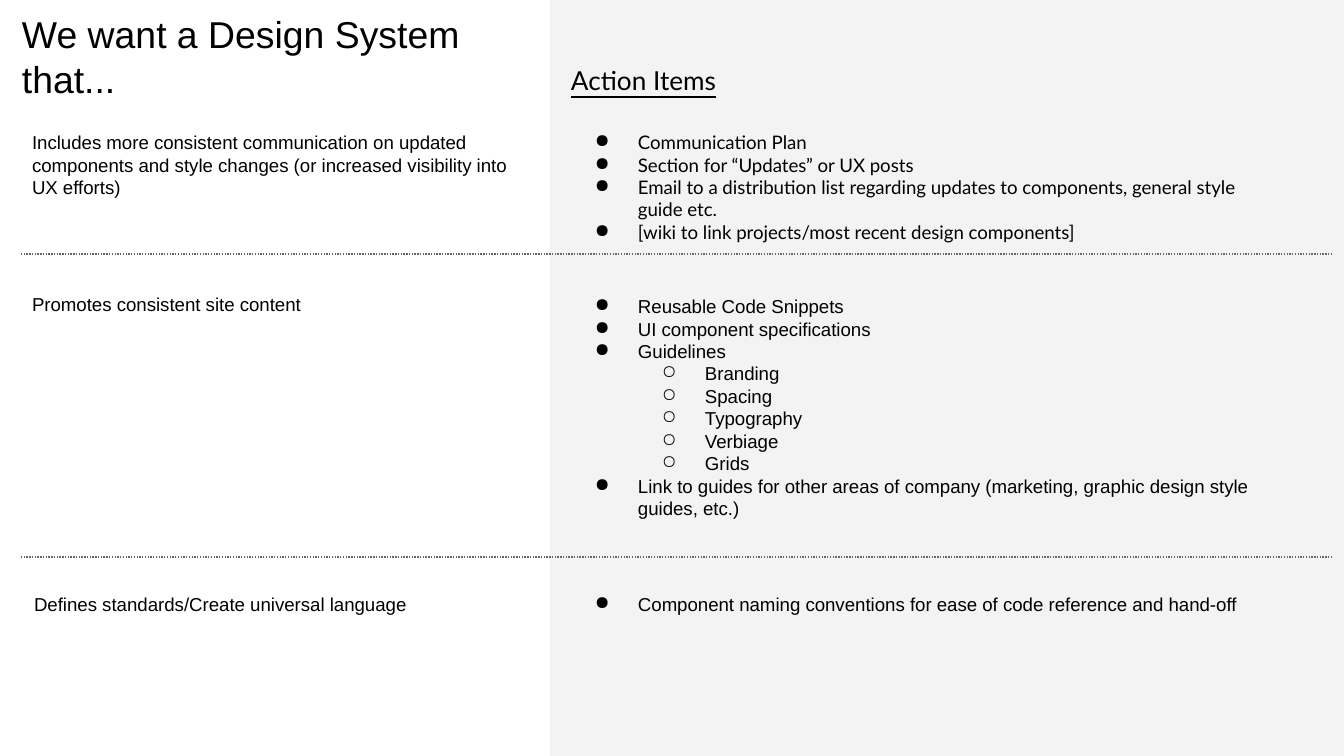
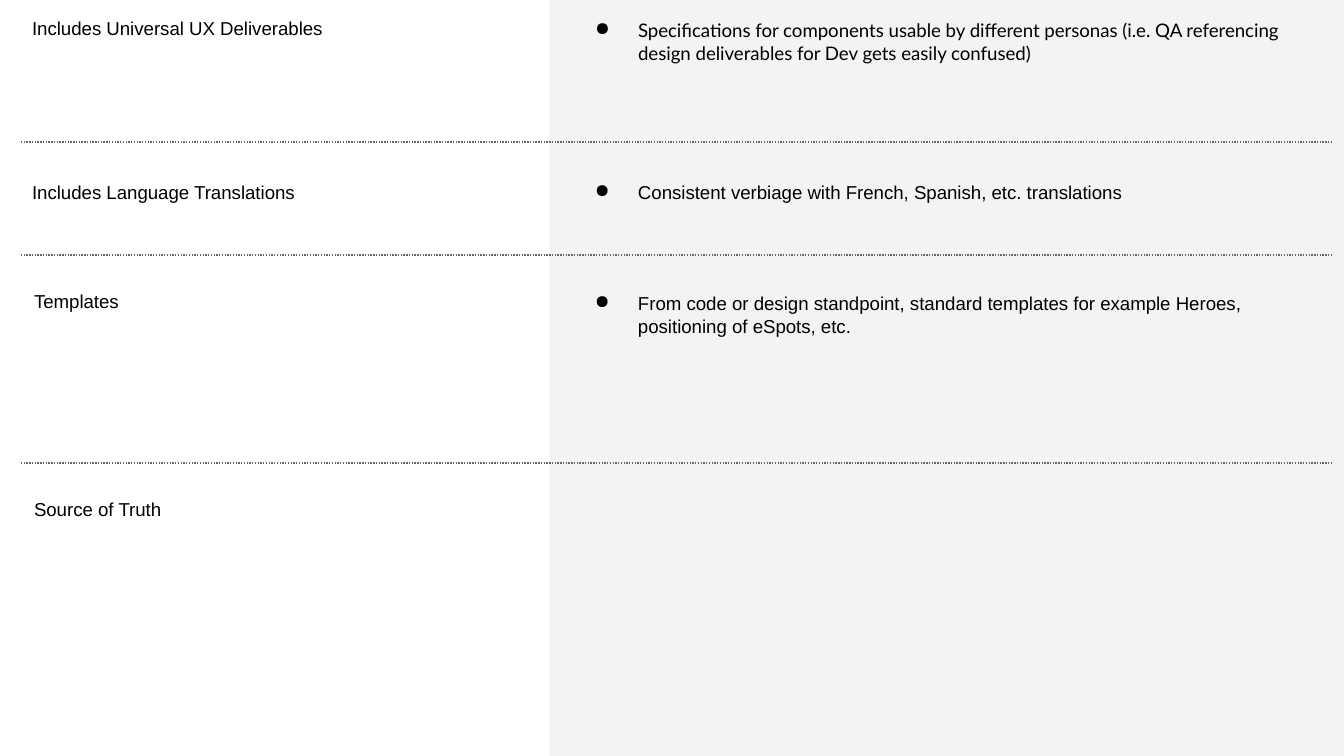
import pptx
import pptx.dml.color
import pptx.enum.dml
import pptx.enum.shapes
import pptx.enum.text
import pptx.oxml.ns
import pptx.util
from lxml import etree

SLIDE_WIDTH, SLIDE_HEIGHT = 1344, 756
EMU_PER_PX = pptx.util.Inches(10) / SLIDE_WIDTH

BLACK = pptx.dml.color.RGBColor(0x00, 0x00, 0x00)
PANEL_GRAY = pptx.dml.color.RGBColor(0xF3, 0xF3, 0xF3)
RULE_GRAY = pptx.dml.color.RGBColor(0x66, 0x66, 0x66)

PANEL_LEFT = 550
GOAL_WIDTH, GOAL_HEIGHT = 513, 91
ACTION_LEFT, ACTION_WIDTH = 558, 737
RULE_LEFT, RULE_RIGHT = 21, 1331
INSET, INDENT, HANGING = 13, 67, 43
BULLETS = "●○"

GOAL_FORMAT = {"name": "Arial", "size": pptx.util.Pt(10)}
LATO_FORMAT = {"name": "Lato", "size": pptx.util.Pt(10)}
TITLE_FORMAT = {"name": "Arial", "size": pptx.util.Pt(20)}
HEADING_FORMAT = {"name": "Lato", "size": pptx.util.Pt(14), "underline": True}


def px(*lengths):
    """Turn pixel lengths into EMU."""
    return [round(length * EMU_PER_PX) for length in lengths]


def add_text(slide, box, lines, font_format, bulleted=False):
    """Add a text box; each line is a string or a (level, string) pair."""
    frame = slide.shapes.add_textbox(*px(*box)).text_frame
    frame.word_wrap = True
    for side in ("left", "top", "right", "bottom"):
        setattr(frame, f"margin_{side}", px(INSET)[0])
    for index, line in enumerate(lines):
        level, wording = line if isinstance(line, tuple) else (0, line)
        paragraph = frame.paragraphs[0] if index == 0 else frame.add_paragraph()
        paragraph.level = level
        if bulleted:
            properties = paragraph._p.get_or_add_pPr()
            margin, hanging = px(INDENT * (level + 1), HANGING)
            properties.set("marL", str(margin))
            properties.set("indent", str(-hanging))
            bullet = etree.SubElement(properties, pptx.oxml.ns.qn("a:buChar"))
            bullet.set("char", BULLETS[level])
        run = paragraph.add_run()
        run.text = wording
        run.font.color.rgb = BLACK
        for attribute, value in font_format.items():
            setattr(run.font, attribute, value)
    return frame


# Each row: goal left, top, goal, actions width and height, actions, actions format
slide_rows = [
    [
        (19, 118,
         "Includes more consistent communication on updated components "
         "and style changes (or increased visibility into UX efforts)",
         ACTION_WIDTH, 126,
         ["Communication Plan",
          "Section for “Updates” or UX posts",
          "Email to a distribution list regarding updates to components, "
          "general style guide etc.",
          "[wiki to link projects/most recent design components]"],
         LATO_FORMAT),
        (19, 282, "Promotes consistent site content", ACTION_WIDTH, 250,
         ["Reusable Code Snippets",
          "UI component specifications",
          "Guidelines",
          (1, "Branding"),
          (1, "Spacing"),
          (1, "Typography"),
          (1, "Verbiage"),
          (1, "Grids"),
          "Link to guides for other areas of company "
          "(marketing, graphic design style guides, etc.)"],
         GOAL_FORMAT),
        (21, 582, "Defines standards/Create universal language", ACTION_WIDTH, 155,
         ["Component naming conventions for ease of code reference and hand-off"],
         GOAL_FORMAT),
    ],
    [
        (19, 6, "Includes Universal UX Deliverables", 755, 126,
         ["Specifications for components usable by different personas "
          "(i.e. QA referencing design deliverables for Dev gets easily confused)"],
         LATO_FORMAT),
        (19, 170, "Includes Language Translations", ACTION_WIDTH, 60,
         ["Consistent verbiage with French, Spanish, etc. translations"],
         GOAL_FORMAT),
        (21, 279, "Templates", ACTION_WIDTH, 155,
         ["From code or design standpoint, standard templates for example Heroes, "
          "positioning of eSpots, etc."],
         GOAL_FORMAT),
        (21, 487, "Source of Truth", ACTION_WIDTH, 155, [], GOAL_FORMAT),
    ],
]
slide_rules = [[254, 557], [142, 255, 463]]

presentation = pptx.Presentation()
presentation.slide_width, presentation.slide_height = px(SLIDE_WIDTH, SLIDE_HEIGHT)

for rows, rules in zip(slide_rows, slide_rules):
    slide = presentation.slides.add_slide(presentation.slide_layouts[6])

    action_panel = slide.shapes.add_shape(
        pptx.enum.shapes.MSO_SHAPE.RECTANGLE,
        *px(PANEL_LEFT, 0, SLIDE_WIDTH - PANEL_LEFT, SLIDE_HEIGHT))
    action_panel.shadow.inherit = False
    action_panel.fill.solid()
    action_panel.fill.fore_color.rgb = PANEL_GRAY
    action_panel.line.fill.background()

    for goal_left, top, goal, action_width, action_height, actions, action_format in rows:
        add_text(slide, (goal_left, top, GOAL_WIDTH, GOAL_HEIGHT), [goal], GOAL_FORMAT)
        if actions:
            add_text(slide, (ACTION_LEFT, top, action_width, action_height),
                     actions, action_format, bulleted=True)

    for rule_top in rules:
        rule = slide.shapes.add_connector(
            pptx.enum.shapes.MSO_CONNECTOR.STRAIGHT,
            *px(RULE_LEFT, rule_top, RULE_RIGHT, rule_top))
        rule.line.color.rgb = RULE_GRAY
        rule.line.width = pptx.util.Pt(0.75)
        rule.line.dash_style = pptx.enum.dml.MSO_LINE.ROUND_DOT
        etree.SubElement(rule._element.spPr, pptx.oxml.ns.qn("a:effectLst"))

opening = presentation.slides[0]
title = add_text(opening, (9, 15, 536, 82), ["We want a Design System that..."], TITLE_FORMAT)
title.vertical_anchor = pptx.enum.text.MSO_ANCHOR.MIDDLE
add_text(opening, (ACTION_LEFT, 51, 527, 46), ["Action Items"], HEADING_FORMAT)

presentation.save("out.pptx")
